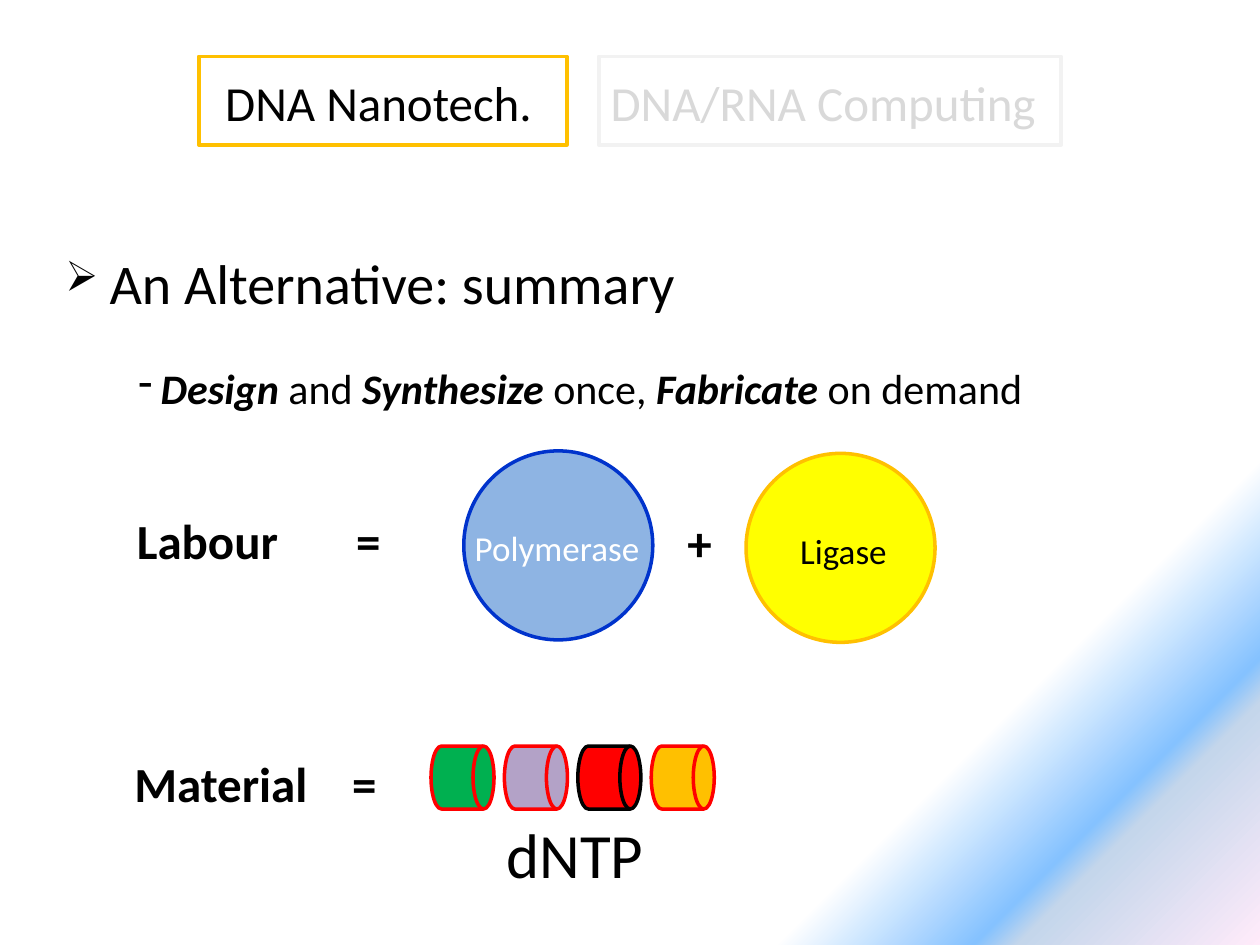
import pptx
import pptx.util
import pptx.dml.color
import pptx.enum.shapes
import pptx.enum.text
import pptx.oxml.ns
from lxml import etree

Cm = pptx.util.Cm
SHAPES = pptx.enum.shapes.MSO_SHAPE

THEME = {
    "font": "Calibri",
    "black": "000000", "white": "FFFFFF", "faded": "D9D9D9", "faint": "F2F2F2",
    "gold": "FFC000", "yellow": "FFFF00", "sky": "8EB4E3", "blue": "0033CC",
    "green": "00B050", "lilac": "B3A2C7", "red": "FF0000",
    "small": 20, "body": 24, "label": 28, "heading": 32, "large": 36,
}

# Content; boxes are left, top, width, height in centimetres
BACKGROUND_STOPS = [(0, "FFFFFF"), (78, "FFFFFF"), (87, "85C2FF"), (89, "C4D6EB"), (100, "FFEBFA")]
TITLE = [("DNA Nanotech.", {}), ("\t", {}), ("DNA/RNA Computing", {"color": "faded"})]
TITLE_BOX = (0.43, 0, 24.56, 4.09)
TITLE_FRAMES = [((4.01, 1.14, 7.42, 1.78), "gold"), ((12.07, 1.14, 9.32, 1.78), "faint")]

STRONG = {"bold": True, "italic": True}
SUMMARY = [("Design", STRONG), (" and ", {}), ("Synthesize ", STRONG), ("once, ", {}),
           ("Fabricate ", STRONG), ("on demand", {})]
TEXTS = [
    ("An Alternative: summary", (1.07, 4.88, 13.18, 1.63),
     {"size": "heading", "bullet": "➢", "bullet_percent": 75, "indent": 0.89}),
    (SUMMARY, (2.54, 7.19, 18.6, 1.27), {"size": "body", "bullet": "-", "indent": 0.45}),
    ("Labour\t=", (2.51, 10.16, 6.38, 1.45), {"size": "label", "bold": True, "tab": 4.42}),
    ("+", (13.61, 10.21, 1.02, 1.45), {"size": "label", "bold": True}),
    ("Material\t=", (2.46, 15.06, 6.6, 1.45), {"size": "label", "bold": True, "tab": 4.39}),
    ("dNTP", (9.96, 16.31, 3.3, 1.8), {"size": "large"}),
]

# Enzymes: circle corner, fill, line, label, label left, label colour
ENZYMES = [
    (9.35, 9.09, "sky", "blue", "Polymerase", 9.32, "white"),
    (15.04, 9.14, "yellow", "gold", "Ligase", 15.88, "black"),
]
CIRCLE_SIZE, LABEL_DROP = 3.81, 1.4

# Nucleotides: fill and line
NUCLEOTIDES = [("green", "red"), ("lilac", "red"), ("red", "black"), ("gold", "red")]
DRUM_LEFT, DRUM_TOP, DRUM_SIZE, DRUM_STEP = 8.69, 15.04, 1.27, 1.48


def rgb(name):
    return pptx.dml.color.RGBColor.from_string(THEME[name])


def add_xml(parent, tag, **attributes):
    child = etree.SubElement(parent, pptx.oxml.ns.qn(tag))
    for key, value in attributes.items():
        child.set(key, str(value))
    return child


def write_text(frame, text, size="body", color="black", bold=False, bullet=None,
               bullet_percent=100, indent=0, tab=None):
    """Write a string, or a list of (string, format) spans, as one paragraph."""
    frame.word_wrap = True
    para = frame.paragraphs[0]
    para.alignment = pptx.enum.text.PP_ALIGN.LEFT
    properties = para._p.get_or_add_pPr()
    if bullet:
        properties.set("marL", str(Cm(indent)))
        properties.set("indent", str(-Cm(indent)))
        add_xml(properties, "a:buSzPct", val=bullet_percent * 1000)
        add_xml(properties, "a:buChar", char=bullet)
    if tab:
        stops = add_xml(properties, "a:tabLst")
        add_xml(stops, "a:tab", pos=Cm(tab), algn="l")
    for words, style in [(text, {})] if isinstance(text, str) else text:
        span = para.add_run()
        span.text = words
        span.font.name = THEME["font"]
        span.font.size = pptx.util.Pt(THEME[size])
        span.font.bold = style.get("bold", bold)
        span.font.italic = style.get("italic", False)
        span.font.color.rgb = rgb(style.get("color", color))


def add_text(page, text, box, **style):
    frame = page.shapes.add_textbox(*map(Cm, box)).text_frame
    frame.auto_size = pptx.enum.text.MSO_AUTO_SIZE.SHAPE_TO_FIT_TEXT
    write_text(frame, text, **style)


def add_figure(page, kind, box, line, fill=None, width=2):
    shape = page.shapes.add_shape(kind, *map(Cm, box))
    shape.shadow.inherit = False
    if fill:
        shape.fill.solid()
        shape.fill.fore_color.rgb = rgb(fill)
    else:
        shape.fill.background()
    shape.line.color.rgb = rgb(line)
    shape.line.width = pptx.util.Pt(width)


def paint_background(page):
    fill = page.background.fill
    fill.gradient()
    fill.gradient_angle = 315
    stops = next(page._element.iter(pptx.oxml.ns.qn("a:gsLst")))
    for stop in list(stops):
        stops.remove(stop)
    for percent, color in BACKGROUND_STOPS:
        stop = add_xml(stops, "a:gs", pos=percent * 1000)
        add_xml(stop, "a:srgbClr", val=color)


def main():
    deck = pptx.Presentation()
    deck.slide_width, deck.slide_height = Cm(25.4), Cm(19.05)
    page = deck.slides.add_slide(deck.slide_layouts[5])
    paint_background(page)

    # Title with its two frames
    title = page.shapes.title
    title.left, title.top, title.width, title.height = map(Cm, TITLE_BOX)
    title.text_frame.margin_left = Cm(4.11)
    title.text_frame.vertical_anchor = pptx.enum.text.MSO_ANCHOR.MIDDLE
    write_text(title.text_frame, TITLE, size="label", tab=7.77)
    for box, line in TITLE_FRAMES:
        add_figure(page, SHAPES.RECTANGLE, box, line, width=2.25)

    # Headings and equation texts
    for text, box, style in TEXTS:
        add_text(page, text, box, **style)

    # Enzyme circles
    for left, top, fill, line, name, name_left, color in ENZYMES:
        add_figure(page, SHAPES.OVAL, (left, top, CIRCLE_SIZE, CIRCLE_SIZE), line, fill)
        add_text(page, name, (name_left, top + LABEL_DROP, 5.28, 1.12), size="small", color=color)

    # Nucleotide drums
    for index, (fill, line) in enumerate(NUCLEOTIDES):
        box = (DRUM_LEFT + index * DRUM_STEP, DRUM_TOP, DRUM_SIZE, DRUM_SIZE)
        add_figure(page, SHAPES.FLOWCHART_DIRECT_ACCESS_STORAGE, box, line, fill)

    deck.save("out.pptx")


if __name__ == "__main__":
    main()
